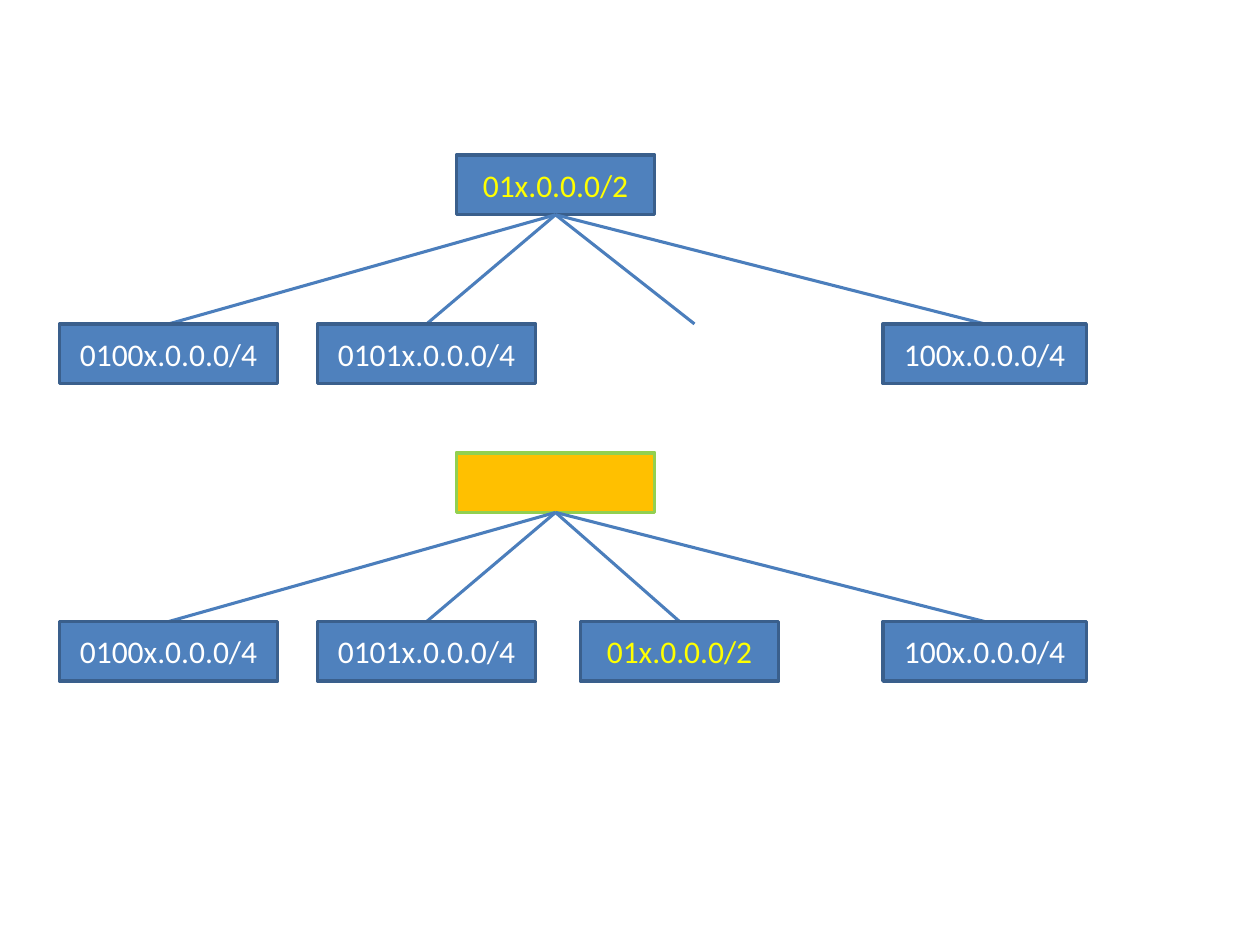
from pptx import Presentation
from pptx.dml.color import RGBColor
from pptx.enum.shapes import MSO_CONNECTOR, MSO_SHAPE
from pptx.enum.text import MSO_ANCHOR, PP_ALIGN
from pptx.util import Cm, Pt

RECTANGLE = MSO_SHAPE.RECTANGLE
STRAIGHT = MSO_CONNECTOR.STRAIGHT
MIDDLE = MSO_ANCHOR.MIDDLE
CENTER = PP_ALIGN.CENTER

BLUE, DARK_BLUE, LINK_BLUE = "4F81BD", "3A5F8C", "4B7EBC"
ORANGE, GREEN = "FFC000", "92D050"
WHITE, YELLOW = "FFFFFF", "FFFF00"

NODE_HEIGHT = 1.2
LEVEL_STEP = 3.4
ROOT_LEFT, ROOT_WIDTH = 9.2, 4
ROOT_CENTER = ROOT_LEFT + ROOT_WIDTH / 2
ROOT_PREFIX = "01x.0.0.0/2"
CHILDREN = [
    (1.2, 4.4, "0100x.0.0.0/4"),
    (6.4, 4.4, "0101x.0.0.0/4"),
    (17.8, 4.1, "100x.0.0.0/4"),
]
MOVED_LEFT = 11.7
OPEN_END = 14


def color(hex_value):
    return RGBColor.from_string(hex_value)


def apply_format(target, values):
    for name, value in values.items():
        setattr(target, name, value)


def add_node(page, left, top, width, text="", text_color=WHITE,
             fill=BLUE, border=DARK_BLUE):
    node = page.shapes.add_shape(
        RECTANGLE, Cm(left), Cm(top), Cm(width), Cm(NODE_HEIGHT))
    node.shadow.inherit = False
    node.fill.solid()
    node.fill.fore_color.rgb = color(fill)
    node.line.color.rgb = color(border)
    node.line.width = Pt(2)
    if text:
        apply_format(node.text_frame,
                     {"word_wrap": True, "vertical_anchor": MIDDLE})
        para = node.text_frame.paragraphs[0]
        para.alignment = CENTER
        span = para.add_run()
        span.text = text
        apply_format(span.font, {"name": "Calibri", "size": Pt(18)})
        span.font.color.rgb = color(text_color)


def add_link(page, top, end):
    link = page.shapes.add_connector(
        STRAIGHT, Cm(ROOT_CENTER), Cm(top + NODE_HEIGHT),
        Cm(end), Cm(top + LEVEL_STEP))
    link.line.color.rgb = color(LINK_BLUE)
    link.line.width = Pt(1.75)
    properties = link._element.spPr
    properties.append(properties.makeelement(
        "{http://schemas.openxmlformats.org/drawingml/2006/main}effectLst"))


def add_tree(page, top, third_end, **root_format):
    add_node(page, ROOT_LEFT, top, ROOT_WIDTH, **root_format)
    for left, width, text in CHILDREN:
        add_link(page, top, left + width / 2)
        add_node(page, left, top + LEVEL_STEP, width, text)
    add_link(page, top, third_end)


def main():
    deck = Presentation()
    apply_format(deck, {"slide_width": Cm(25.4), "slide_height": Cm(19.05)})
    page = deck.slides.add_slide(deck.slide_layouts[6])
    first_top, second_top = 3.13, 9.13
    add_tree(page, first_top, OPEN_END, text=ROOT_PREFIX, text_color=YELLOW)
    add_tree(page, second_top, MOVED_LEFT + ROOT_WIDTH / 2,
             fill=ORANGE, border=GREEN)
    add_node(page, MOVED_LEFT, second_top + LEVEL_STEP, ROOT_WIDTH,
             ROOT_PREFIX, YELLOW)
    deck.save("out.pptx")


main()
